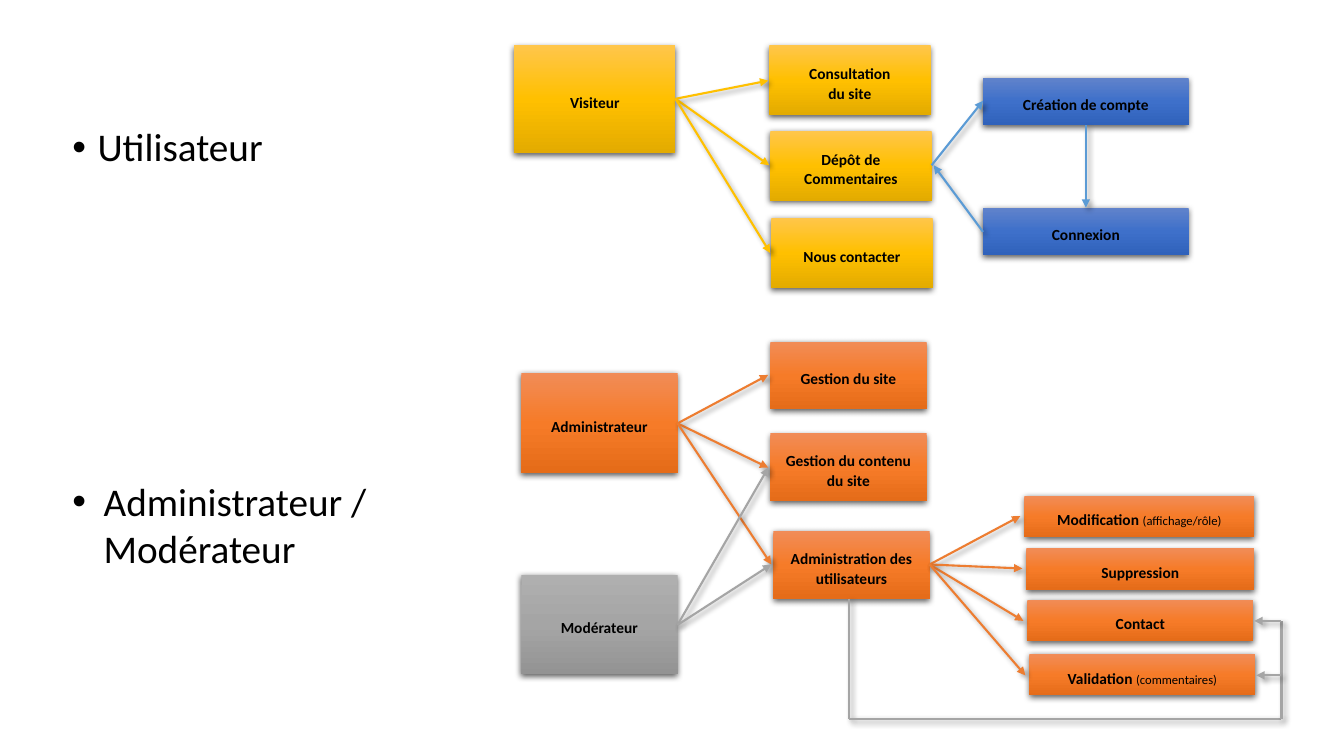
"""Build the slide of user and administrator site functions."""
from copy import deepcopy
from dataclasses import dataclass

from lxml.etree import SubElement
from pptx import Presentation
from pptx.dml.color import RGBColor
from pptx.enum.shapes import MSO_CONNECTOR, MSO_SHAPE
from pptx.enum.text import MSO_ANCHOR, PP_ALIGN
from pptx.oxml.ns import qn
from pptx.util import Pt

RECTANGLE = MSO_SHAPE.RECTANGLE
STRAIGHT = MSO_CONNECTOR.STRAIGHT
MIDDLE, TOP = MSO_ANCHOR.MIDDLE, MSO_ANCHOR.TOP
CENTER, LEFT = PP_ALIGN.CENTER, PP_ALIGN.LEFT
PX = 9144


@dataclass(frozen=True)
class Theme:
    """Colours, type sizes and shadows of the slide."""
    font: str = "Calibri"
    ink: str = "000000"
    yellow: tuple = ("FFC64B", "FFC000", "E3AB00")
    blue: tuple = ("6183CB", "3E70CA", "3062BB")
    orange: tuple = ("F18C57", "F67B28", "E56C19")
    gray: tuple = ("AFAFAF", "A5A5A5", "939393")
    yellow_line: str = "FFC000"
    blue_line: str = "5B9BD5"
    orange_line: str = "ED7D31"
    gray_line: str = "A5A5A5"
    heading: int = 28
    label: int = 11
    note: int = 9
    line: float = 1.5
    box_shadow: tuple = (63, 4.5, 1.5, 90)
    line_shadow: tuple = (40, 4, 3, 45)


THEME = Theme()


@dataclass(frozen=True)
class Box:
    """A rectangle in px with the points where links attach."""
    left: int
    top: int
    width: int
    height: int

    def inner(self, left, top, width, height):
        """Return a box placed relative to this one."""
        return Box(self.left + left, self.top + top, width, height)

    def emu(self):
        """Return the four lengths in EMU."""
        return [n * PX for n in (self.left, self.top, self.width, self.height)]

    def side(self, across, down, gap=0):
        """Return the point at the given fractions, moved right by gap."""
        return (round(self.left + across * self.width) + gap,
                round(self.top + down * self.height))


def cast_shadow(effects, alpha, blur, distance, angle):
    """Add an outer shadow to an effect list."""
    shadow = SubElement(effects, qn("a:outerShdw"), blurRad=str(Pt(blur)),
                        dist=str(Pt(distance)), dir=str(angle * 60000),
                        algn="ctr", rotWithShape="0")
    color = SubElement(shadow, qn("a:srgbClr"), val=THEME.ink)
    SubElement(color, qn("a:alpha"), val=str(alpha * 1000))


def write(frame, lines, size, note="", bold=False, align=LEFT, anchor=TOP,
          margins=(10, 5, 10, 5), spacing=1.0, after=0, bullet_indent=0):
    """Write lines as paragraphs, with an optional small note at the end."""
    frame.word_wrap = True
    frame.vertical_anchor = anchor
    (frame.margin_left, frame.margin_top,
     frame.margin_right, frame.margin_bottom) = [m * PX for m in margins]
    for number, line in enumerate(lines):
        paragraph = frame.add_paragraph() if number else frame.paragraphs[0]
        if bullet_indent:
            properties = paragraph._p.get_or_add_pPr()
            properties.set("marL", str(bullet_indent * PX))
            properties.set("indent", str(-bullet_indent * PX))
            SubElement(properties, qn("a:buFont"), typeface="Arial")
            SubElement(properties, qn("a:buChar"), char="•")
        last = number == len(lines) - 1
        paragraph.alignment = align
        paragraph.line_spacing = spacing
        paragraph.space_after = Pt(after if last else 0)
        runs = [(line, size, bold)]
        if note and last:
            runs = [(line + " ", size, bold), (note, THEME.note, False)]
        for text, points, weight in runs:
            run = paragraph.add_run()
            run.text = text
            run.font.name = THEME.font
            run.font.size = Pt(points)
            run.font.bold = weight
            run.font.color.rgb = RGBColor.from_string(THEME.ink)


def draw_step(slide, box, colors, *lines, note=""):
    """Draw one shaded step with its label and return its box."""
    step = slide.shapes.add_shape(RECTANGLE, *box.emu())
    step.fill.gradient()
    step.fill.gradient_angle = 270
    stops = step.element.spPr.find(qn("a:gradFill")).find(qn("a:gsLst"))
    stops.append(deepcopy(stops[0]))
    for stop, color, position in zip(step.fill.gradient_stops, colors, (0, 0.5, 1)):
        stop.color.rgb = RGBColor.from_string(color)
        stop.position = position
    step.line.fill.background()
    step.shadow.inherit = False
    cast_shadow(step.element.spPr.find(qn("a:effectLst")), *THEME.box_shadow)
    side = 4 if note else 10
    write(step.text_frame, lines, THEME.label, note=note, bold=True,
          align=CENTER, anchor=MIDDLE, margins=(side, 5, side, 0),
          spacing=1.07, after=8)
    return box


def draw_link(slide, start, end, color, arrow=True):
    """Draw a straight link between two points."""
    link = slide.shapes.add_connector(STRAIGHT, *[n * PX for n in start + end])
    link.line.color.rgb = RGBColor.from_string(color)
    link.line.width = Pt(THEME.line)
    properties = link.element.spPr
    if arrow:
        SubElement(properties.find(qn("a:ln")), qn("a:tailEnd"), type="triangle")
    cast_shadow(SubElement(properties, qn("a:effectLst")), *THEME.line_shadow)


def draw_fan(slide, source, targets, color, gap=0):
    """Link the right side of a step to the left side of each target."""
    for target in targets:
        draw_link(slide, source.side(1, 0.5), target.side(0, 0.5, -gap), color)


def draw_heading(slide, box, text, indent, spacing):
    """Write one bulleted heading."""
    heading = slide.shapes.add_textbox(*box.emu())
    write(heading.text_frame, [text], THEME.heading,
          bullet_indent=indent, spacing=spacing)


def draw_user_flow(slide, region):
    """Draw what a visitor can do on the site."""
    visitor = draw_step(slide, region.inner(0, 0, 160, 107), THEME.yellow, "Visiteur")
    browse = draw_step(slide, region.inner(253, 0, 160, 69), THEME.yellow,
                       "Consultation", "du site")
    comment = draw_step(slide, region.inner(254, 85, 160, 69), THEME.yellow,
                        "Dépôt de Commentaires")
    contact = draw_step(slide, region.inner(255, 171, 160, 70), THEME.yellow,
                        "Nous contacter")
    sign_up, sign_in = [
        draw_step(slide, region.inner(465, top, 204, 47), THEME.blue, label)
        for top, label in ((32, "Création de compte"), (161, "Connexion"))]
    draw_fan(slide, visitor, (browse, comment, contact), THEME.yellow_line, gap=1)
    draw_fan(slide, comment, (sign_up,), THEME.blue_line)
    draw_link(slide, sign_up.side(0.5, 1), sign_in.side(0.5, 0), THEME.blue_line)
    draw_link(slide, sign_in.side(0, 0.5), comment.side(1, 0.5, 2), THEME.blue_line)


def draw_admin_flow(slide, region):
    """Draw what the administrator and the moderator can do."""
    admin, moderator = [
        draw_step(slide, region.inner(0, top, 155, 99), colors, label)
        for top, colors, label in ((31, THEME.orange, "Administrateur"),
                                   (231, THEME.gray, "Modérateur"))]
    site, content, users = [
        draw_step(slide, region.inner(left, top, 155, 67), THEME.orange, label)
        for left, top, label in ((247, 0, "Gestion du site"),
                                 (247, 91, "Gestion du contenu du site"),
                                 (250, 188, "Administration des utilisateurs"))]
    edit, remove, contact, approve = [
        draw_step(slide, region.inner(left, top, width, 41), THEME.orange,
                  label, note=note)
        for left, top, width, label, note in (
            (499, 153, 228, "Modification", "(affichage/rôle)"),
            (501, 205, 226, "Suppression", ""),
            (502, 256, 224, "Contact", ""),
            (504, 310, 224, "Validation", "(commentaires)"))]
    draw_fan(slide, admin, (site, content, users), THEME.orange_line, gap=2)
    draw_fan(slide, moderator, (content, users), THEME.gray_line, gap=2)
    draw_fan(slide, users, (edit, remove, contact, approve), THEME.orange_line, gap=4)

    right, bottom = region.side(1, 1)
    start = users.side(0.5, 1, -2)
    contact_end, approve_end = contact.side(1, 0.5, 1), approve.side(1, 0.5, 1)
    route = [start, (start[0], bottom), (right, bottom), (right, contact_end[1])]
    for corner, following in zip(route, route[1:]):
        draw_link(slide, corner, following, THEME.gray_line, arrow=False)
    for end in (contact_end, approve_end):
        draw_link(slide, (right, end[1]), end, THEME.gray_line)


def main():
    """Build and save the slide."""
    deck = Presentation()
    deck.slide_width, deck.slide_height = 1333 * PX, 750 * PX
    slide = deck.slides.add_slide(deck.slide_layouts[6])
    draw_heading(slide, Box(62, 122, 259, 60), "Utilisateur", 25, 0.9)
    draw_user_flow(slide, Box(510, 45, 669, 241))
    draw_heading(slide, Box(62, 469, 417, 104), "Administrateur / Modérateur", 31, 1.0)
    draw_admin_flow(slide, Box(517, 339, 754, 374))
    deck.save("out.pptx")


if __name__ == "__main__":
    main()
